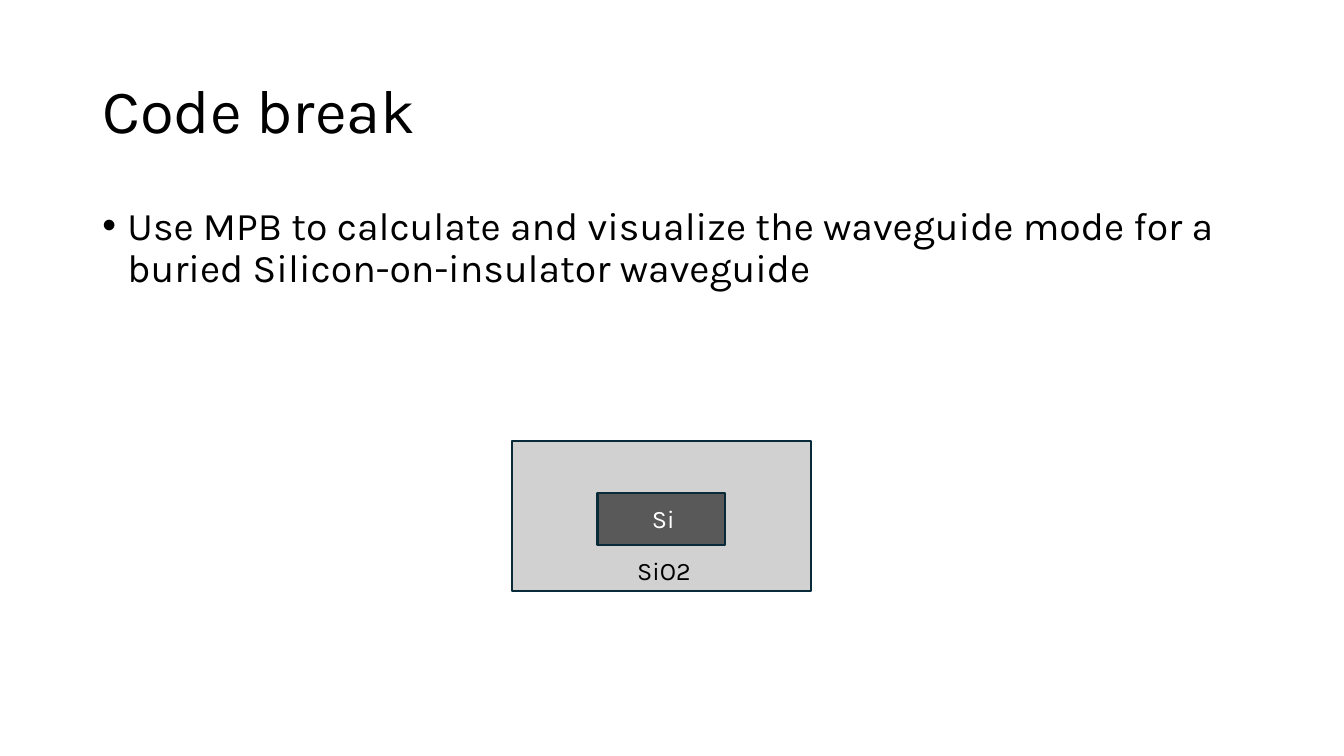
import pptx
import pptx.dml.color
import pptx.enum.shapes
import pptx.enum.text
import pptx.oxml
import pptx.oxml.ns
import pptx.util

Pt = pptx.util.Pt
ANCHOR = pptx.enum.text.MSO_ANCHOR


def color(value):
    return pptx.dml.color.RGBColor.from_string(value)


class SlideBuilder:
    font = "Karla"
    ink = "000000"
    outline = "092A39"

    def __init__(self, deck):
        self.page = deck.slides.add_slide(deck.slide_layouts[6])

    def text(self, words, left, top, width, height, size, ink=ink, anchor=ANCHOR.TOP):
        """Add a one-paragraph text box and return its paragraph."""
        box = self.page.shapes.add_textbox(Pt(left), Pt(top), Pt(width), Pt(height))
        frame = box.text_frame
        frame.word_wrap = True
        frame.vertical_anchor = anchor
        frame.text = words
        para = frame.paragraphs[0]
        for span in para.runs:
            span.font.name = self.font
            span.font.size = Pt(size)
            span.font.color.rgb = color(ink)
        return para

    def title(self, words, left, top, width, height):
        para = self.text(words, left, top, width, height, 44, anchor=ANCHOR.MIDDLE)
        para.line_spacing = 0.9

    def bullet(self, words, left, top, width, height):
        para = self.text(words, left, top, width, height, 28)
        para.line_spacing = 0.9
        para.space_before = Pt(10)
        properties = para._p.get_or_add_pPr()
        properties.set("marL", str(Pt(18)))
        properties.set("indent", str(Pt(-18)))
        namespace = pptx.oxml.ns.nsdecls("a")
        for markup in ('buFont {} typeface="Arial"', 'buChar {} char="•"'):
            properties.append(pptx.oxml.parse_xml(f"<a:{markup.format(namespace)}/>"))

    def rectangle(self, left, top, width, height, fill):
        shape = self.page.shapes.add_shape(
            pptx.enum.shapes.MSO_SHAPE.RECTANGLE, Pt(left), Pt(top), Pt(width), Pt(height))
        shape.shadow.inherit = False
        shape.fill.solid()
        shape.fill.fore_color.rgb = color(fill)
        shape.line.color.rgb = color(self.outline)
        shape.line.width = Pt(1.5)


def main():
    deck = pptx.Presentation()
    deck.slide_width, deck.slide_height = Pt(960), Pt(540)
    slide = SlideBuilder(deck)

    slide.title("Code break", 66, 28.75, 828, 104.4)
    slide.bullet("Use MPB to calculate and visualize the waveguide mode for a "
                 "buried Silicon-on-insulator waveguide", 66, 143.75, 828, 342.6)

    # Waveguide cross-section: silicon core inside oxide cladding
    slide.rectangle(365.6, 315.2, 213.8, 107.2, "D1D1D1")
    slide.rectangle(426.8, 352, 91.4, 37.4, "595959")
    slide.text("SiO2", 448, 393.2, 80.6, 29, 18)
    slide.text("Si", 458.6, 356.2, 80.6, 29, 18, ink="FFFFFF")

    deck.save("out.pptx")


if __name__ == "__main__":
    main()
